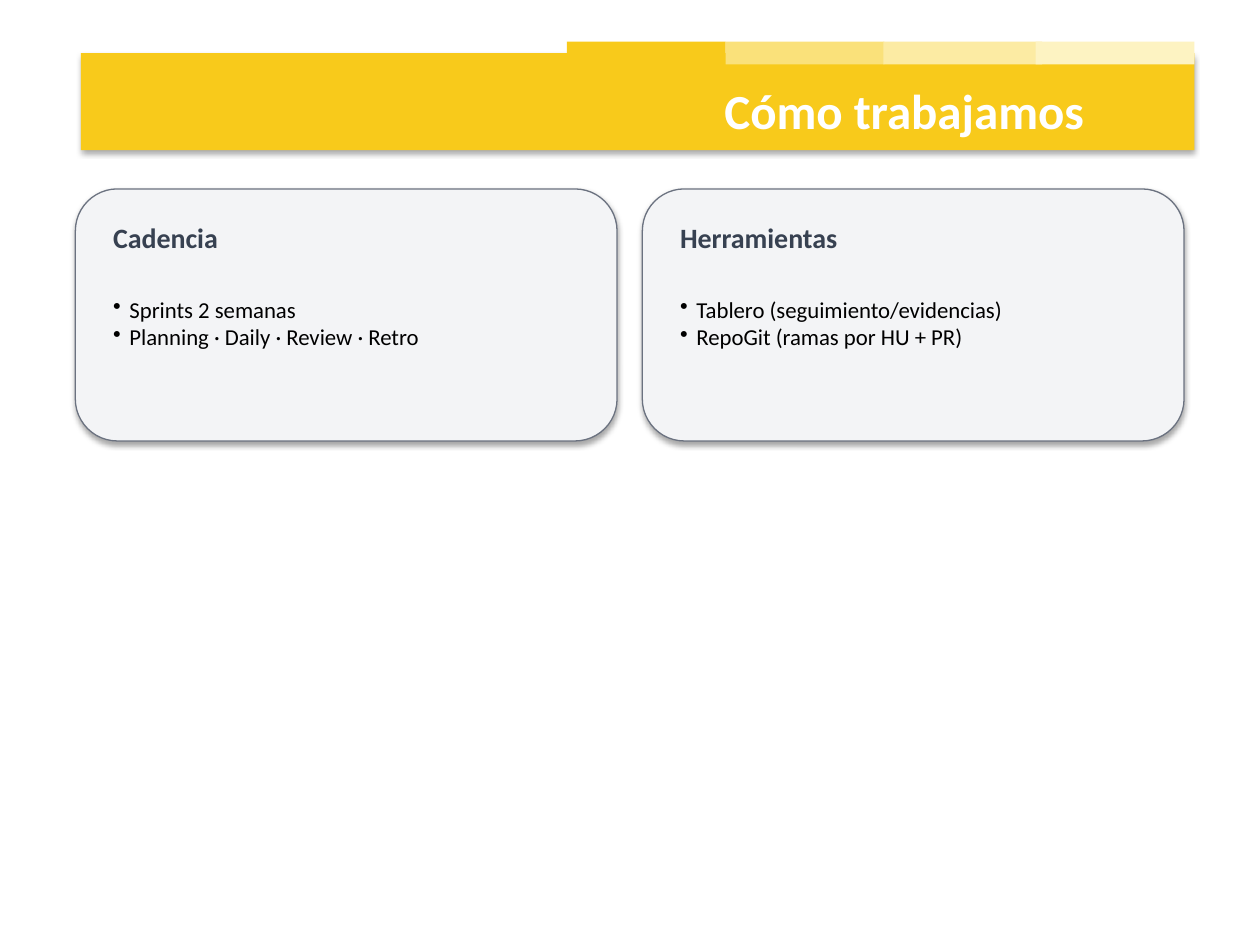
from pptx import Presentation
from pptx.dml.color import RGBColor
from pptx.enum.shapes import MSO_SHAPE
from pptx.enum.text import MSO_ANCHOR, MSO_AUTO_SIZE, PP_ALIGN
from pptx.oxml.ns import qn
from pptx.util import Cm, Pt
from lxml.etree import SubElement

COLORS = {
    "gold": "F8CA1B", "amber": "FAE17A", "cream": "FCEBA3", "pale": "FDF3C2",
    "card": "F3F4F6", "edge": "6B7280", "head": "374151",
    "black": "000000", "white": "FFFFFF",
}
TABS = [(11.43, "gold"), (14.63, "amber"), (17.81, "cream"), (20.88, "pale")]
CARDS = [
    ("Cadencia", ["Sprints 2 semanas", "Planning · Daily · Review · Retro"]),
    ("Herramientas", ["Tablero (seguimiento/evidencias)", "RepoGit (ramas por HU + PR)"]),
]


class Deck:
    """Holds the style and the current slide, and draws each kind of element."""

    def __init__(self, font="Calibri"):
        self.font = font
        self.prs = Presentation()
        self.prs.slide_width, self.prs.slide_height = Cm(25.4), Cm(19.05)
        self.slide = self.prs.slides.add_slide(self.prs.slide_layouts[5])

    def color(self, name):
        return RGBColor.from_string(COLORS[name])

    def shape(self, kind, box, fill, line=None, shadow=False):
        item = self.slide.shapes.add_shape(kind, *map(Cm, box))
        item.fill.solid()
        item.fill.fore_color.rgb = self.color(fill)
        if line:
            item.line.color.rgb = self.color(line)
            item.line.width = Pt(0.75)
        else:
            item.line.fill.background()
        if not shadow:
            item.shadow.inherit = False

    def run(self, par, text, size, color, bold=False):
        par.alignment = PP_ALIGN.LEFT
        run = par.add_run()
        run.text = text
        run.font.name = self.font
        run.font.size = Pt(size)
        run.font.bold = bold
        run.font.color.rgb = self.color(color)

    def title(self, text, box):
        item = self.slide.shapes.title
        item.left, item.top, item.width, item.height = map(Cm, box)
        frame = item.text_frame
        frame.auto_size = MSO_AUTO_SIZE.NONE
        frame.vertical_anchor = MSO_ANCHOR.TOP
        self.run(frame.paragraphs[0], text, 28, "white", True)
        tree = item.element.getparent()
        tree.append(item.element)

    def text(self, lines, box, size, color, bold=False, bullet=False):
        frame = self.slide.shapes.add_textbox(*map(Cm, box)).text_frame
        frame.word_wrap = True
        for i, line in enumerate(lines):
            par = frame.add_paragraph() if i else frame.paragraphs[0]
            if bullet:
                props = par._p.get_or_add_pPr()
                props.set("marL", str(Cm(0.33)))
                props.set("indent", str(-Cm(0.33)))
                SubElement(props, qn("a:buChar"), char="•")
            self.run(par, line, size, color, bold)

    def card(self, left, head, lines):
        self.shape(MSO_SHAPE.ROUNDED_RECTANGLE, (left, 3.81, 10.92, 5.08),
                   "card", "edge", shadow=True)
        self.text([head], (left + 0.51, 4.32, 9.91, 0.94), 16, "head", bold=True)
        self.text(lines, (left + 0.51, 5.84, 9.91, 1.37), 13, "black", bullet=True)


def main():
    deck = Deck()
    deck.shape(MSO_SHAPE.RECTANGLE, (1.63, 1.07, 22.45, 1.96), "gold", shadow=True)
    for left, fill in TABS:
        deck.shape(MSO_SHAPE.RECTANGLE, (left, 0.84, 3.2, 0.46), fill)
    deck.title("Cómo trabajamos", (14.35, 1.5, 9.02, 1.02))
    for i, (head, lines) in enumerate(CARDS):
        deck.card(1.52 + i * 11.43, head, lines)
    deck.prs.save("out.pptx")


if __name__ == "__main__":
    main()
